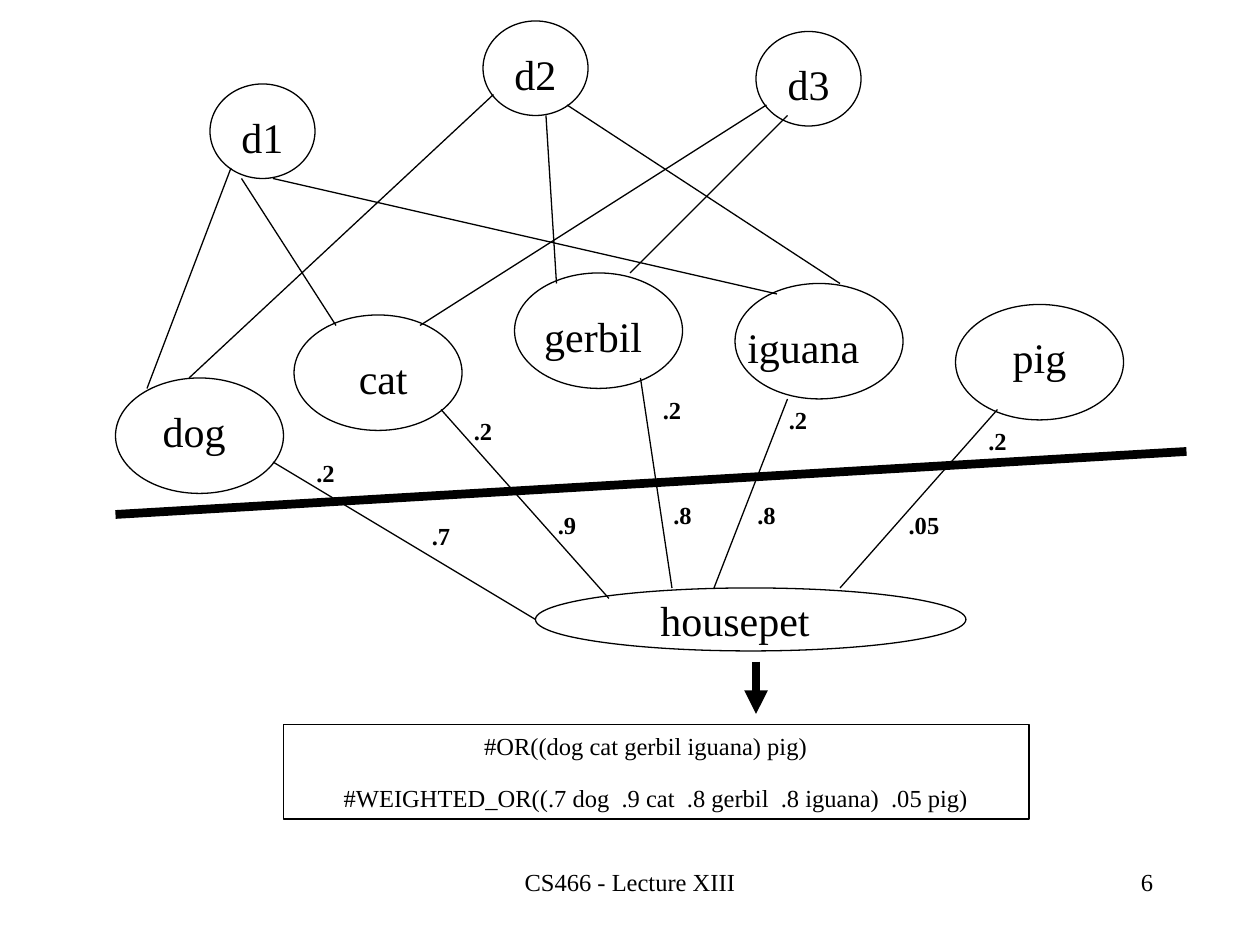
from lxml import etree
from pptx import Presentation
from pptx.dml import color
from pptx.enum import shapes, text
from pptx.oxml import ns
from pptx.util import Pt


def rgb(hex_value):
    return color.RGBColor.from_string(hex_value)


class Diagram:
    """Holds the style and the slide; all lengths are in points."""

    font = "Times New Roman"
    ink = "000000"
    paper = "FFFFFF"
    thin = 0.75

    def __init__(self, slide):
        self.slide = slide

    def outline(self, preset, left, top, width, height):
        shape = self.slide.shapes.add_shape(
            preset, Pt(left), Pt(top), Pt(width), Pt(height))
        shape.shadow.inherit = False
        shape.fill.solid()
        shape.fill.fore_color.rgb = rgb(self.paper)
        shape.line.color.rgb = rgb(self.ink)
        shape.line.width = Pt(self.thin)

    def ellipse(self, *frame):
        self.outline(shapes.MSO_SHAPE.OVAL, *frame)

    def rectangle(self, *frame):
        self.outline(shapes.MSO_SHAPE.RECTANGLE, *frame)

    def label(self, words, left, top, width, height, size=14, bold=False,
              align=text.PP_ALIGN.CENTER):
        box = self.slide.shapes.add_textbox(
            Pt(left), Pt(top), Pt(width), Pt(height))
        box.text_frame.word_wrap = True
        paragraph = box.text_frame.paragraphs[0]
        paragraph.alignment = align
        run = paragraph.add_run()
        run.text = words
        run.font.name = self.font
        run.font.size = Pt(size)
        run.font.bold = bold
        run.font.color.rgb = rgb(self.ink)

    def line(self, start, end, width=thin, arrow=False):
        connector = self.slide.shapes.add_connector(
            shapes.MSO_CONNECTOR.STRAIGHT, *map(Pt, start + end))
        connector.line.color.rgb = rgb(self.ink)
        connector.line.width = Pt(width)
        if arrow:
            etree.SubElement(connector.line._get_or_add_ln(),
                             ns.qn("a:tailEnd"), type="triangle")
        etree.SubElement(connector._element.spPr, ns.qn("a:effectLst"))


# name: ellipse left, top
DOCUMENTS = {"d1": (120, 48), "d2": (276, 12), "d3": (432, 18)}

# name, ellipse left and top, label left, top and width
ANIMALS = [
    ("dog", (66, 216), (72, 228, 78)),
    ("cat", (168, 180), (180, 198, 78)),
    ("gerbil", (294, 156), (300, 174, 78)),
    ("iguana", (420, 162), (414, 180, 90)),
    ("pig", (546, 174), (546, 186, 96)),
]

DOCUMENT_LINKS = [
    ((132, 96), (84, 222)),    # d1 - dog
    ((138, 102), (192, 186)),  # d1 - cat
    ((156, 102), (444, 168)),  # d1 - iguana
    ((282, 54), (108, 216)),   # d2 - dog
    ((312, 66), (318, 162)),   # d2 - gerbil
    ((324, 60), (480, 162)),   # d2 - iguana
    ((438, 60), (240, 186)),   # d3 - cat
    ((450, 66), (360, 156)),   # d3 - gerbil
]

# link start and end, place of the upper weight, lower weight and its place
HOUSEPET_LINKS = [
    ((156, 264), (306, 354), (162, 258), ".7", (228, 294)),
    ((252, 234), (348, 342), (252, 234), ".9", (300, 288)),
    ((366, 216), (384, 336), (360, 222), ".8", (366, 282)),
    ((450, 228), (408, 336), (432, 228), ".8", (414, 282)),
    ((570, 234), (480, 336), (546, 240), ".05", (504, 288)),
]


def main():
    deck = Presentation()
    deck.slide_width, deck.slide_height = Pt(720), Pt(540)
    diagram = Diagram(deck.slides.add_slide(deck.slide_layouts[6]))

    diagram.rectangle(162, 414, 426, 54)
    for name, (left, top) in DOCUMENTS.items():
        diagram.ellipse(left, top, 60, 54)
        diagram.label(name, left + 6, top + 12, 48, 36, size=24)
    for name, corner, label_place in ANIMALS:
        diagram.ellipse(*corner, 96, 66)
        diagram.label(name, *label_place, 36, size=24)
    diagram.ellipse(306, 336, 246, 36)
    diagram.label("housepet", 330, 336, 180, 36, size=24)

    for start, end in DOCUMENT_LINKS:
        diagram.line(start, end)
    for start, end, upper_place, lower_weight, lower_place in HOUSEPET_LINKS:
        diagram.line(start, end)
        diagram.label(".2", *upper_place, 48, 24, bold=True)
        diagram.label(lower_weight, *lower_place, 48, 24, bold=True)
    diagram.line((66, 294), (678, 258), width=5)
    diagram.line((432, 378), (432, 408), width=4.5, arrow=True)

    diagram.label("#OR((dog cat gerbil iguana) pig)", 66, 414, 606, 24)
    diagram.label(
        "#WEIGHTED_OR((.7 dog  .9 cat  .8 gerbil  .8 iguana)  .05 pig)",
        72, 444, 606, 24)
    diagram.label("CS466 - Lecture XIII", 246, 492, 228, 36)
    diagram.label("6", 516, 492, 150, 36, align=text.PP_ALIGN.RIGHT)

    deck.save("out.pptx")


if __name__ == "__main__":
    main()
